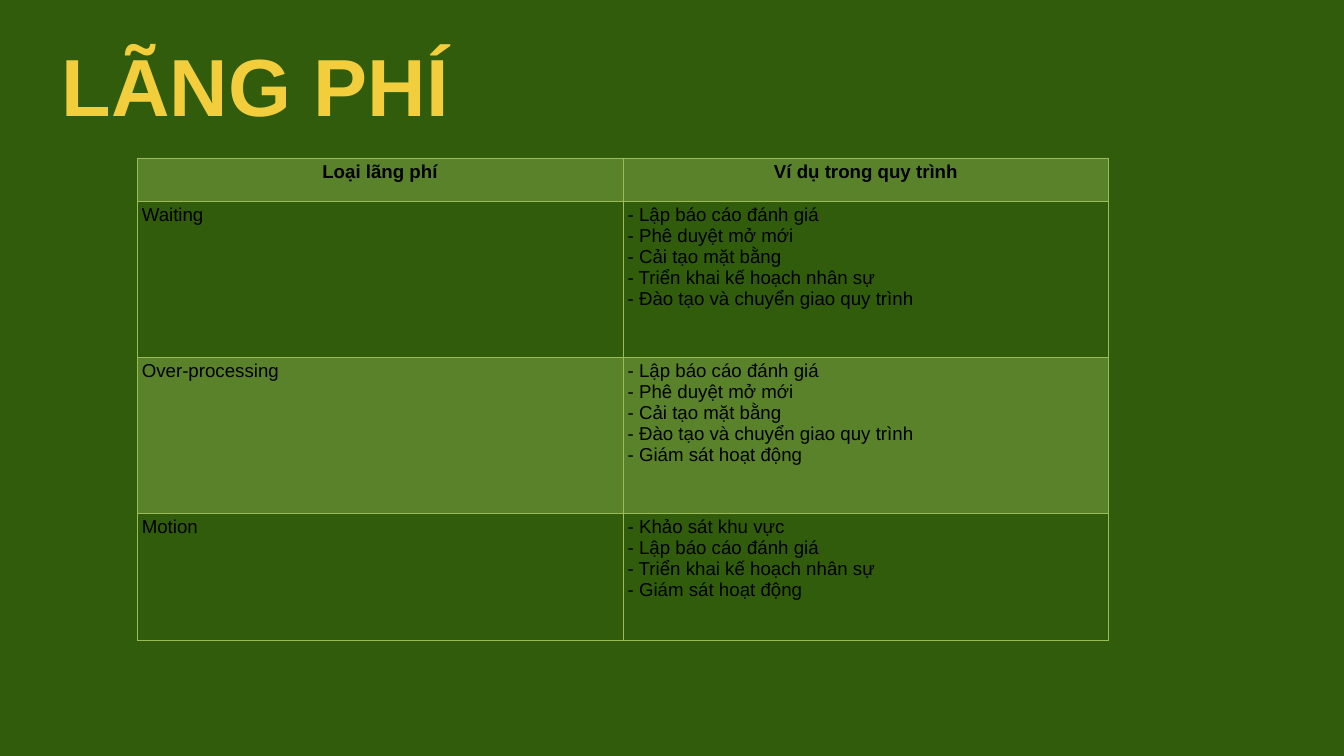
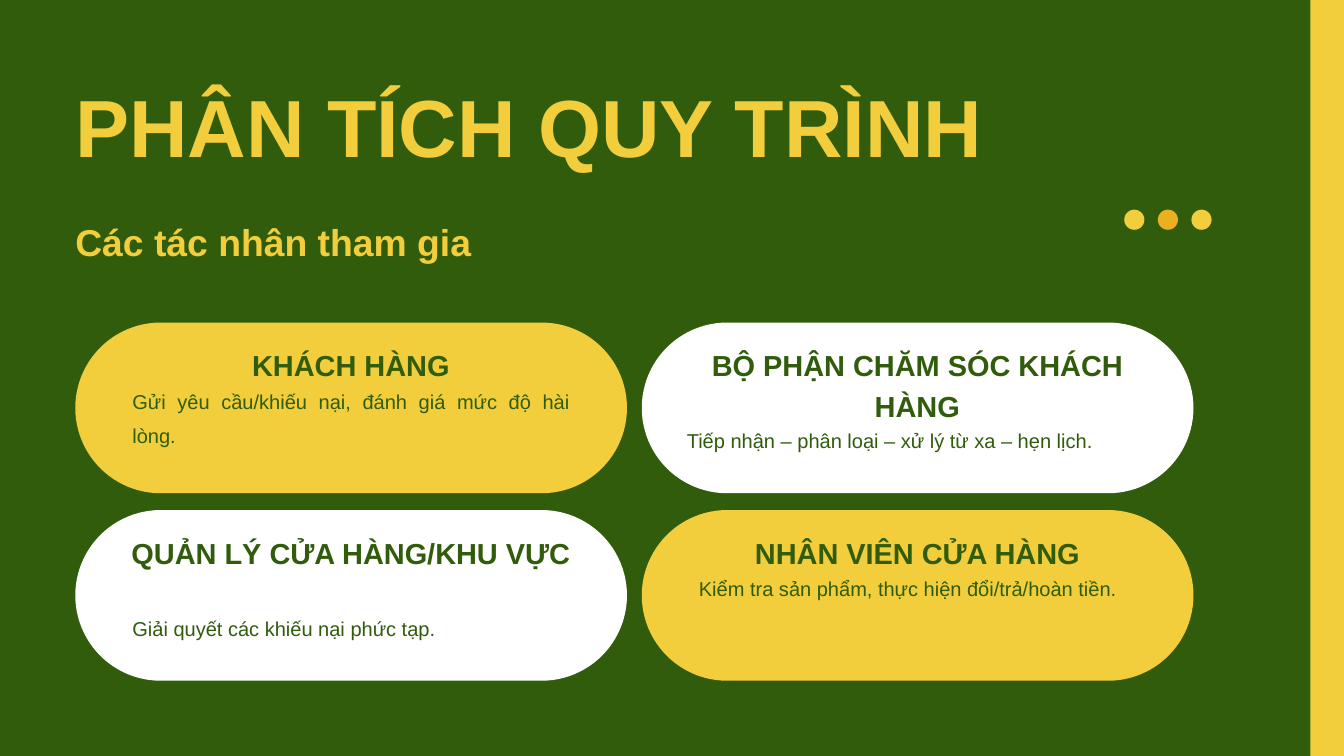
from dataclasses import dataclass

from lxml.etree import SubElement as Sub
from pptx import Presentation as Deck
from pptx.dml.color import RGBColor as Rgb
from pptx.enum.shapes import MSO_SHAPE as Kind
from pptx.enum.text import MSO_ANCHOR as Anchor, MSO_AUTO_SIZE as Fit, PP_ALIGN as Align
from pptx.oxml.ns import qn
from pptx.util import Inches, Pt


# Theme: colours, type sizes and font
@dataclass(frozen=True)
class Theme:
    font: str = "Arial"
    green: str = "305C0C"
    gold: str = "F2CE3C"
    amber: str = "EBB01F"
    lime: str = "9BBB59"
    white: str = "FFFFFF"
    black: str = "000000"
    title: float = 86.8
    sub: float = 40
    head: float = 31
    body: float = 21.5
    cell: float = 20


THEME = Theme()


@dataclass(frozen=True)
class Style:
    size: float
    color: str
    bold: bool = False
    align: Align = Align.LEFT
    space: float = 1.0


TITLE = Style(THEME.title, THEME.gold, True, space=1.04)
SUB = Style(THEME.sub, THEME.gold, True, Align.JUSTIFY, 1.4)
HEAD = Style(THEME.head, THEME.green, True, Align.CENTER, 1.18)
BODY = Style(THEME.body, THEME.green, False, Align.JUSTIFY, 1.4)
TOP = Style(THEME.cell, THEME.black, True, Align.CENTER)
CELL = Style(THEME.cell, THEME.black)


@dataclass(frozen=True)
class Box:
    left: float
    top: float
    width: float
    height: float

    def emu(self) -> tuple:
        return tuple(map(Inches, (self.left, self.top, self.width, self.height)))


@dataclass(frozen=True)
class Card:
    head: str
    body: str
    fill: str
    drop: float = 0.85
    shift: float = 0.85


@dataclass(frozen=True)
class Waste:
    name: str
    steps: tuple
    height: float


REPORT = "- Lập báo cáo đánh giá"
OPEN = "- Phê duyệt mở mới"
SITE = "- Cải tạo mặt bằng"
STAFF = "- Triển khai kế hoạch nhân sự"
TRAIN = "- Đào tạo và chuyển giao quy trình"
WATCH = "- Giám sát hoạt động"

WASTES = (
    Waste("Waiting", (REPORT, OPEN, SITE, STAFF, TRAIN), 2.32),
    Waste("Over-processing", (REPORT, OPEN, SITE, TRAIN, WATCH), 2.32),
    Waste("Motion", ("- Khảo sát khu vực", REPORT, STAFF, WATCH), 1.89),
)

# Cards run left to right, then down
CARDS = (
    Card("KHÁCH HÀNG", "Gửi yêu cầu/khiếu nại, đánh giá mức độ hài lòng.", THEME.gold),
    Card("BỘ PHẬN CHĂM SÓC KHÁCH HÀNG",
         "Tiếp nhận – phân loại – xử lý từ xa – hẹn lịch.", THEME.white, 1.43, 0.67),
    Card("QUẢN LÝ CỬA HÀNG/KHU VỰC", "Giải quyết các khiếu nại phức tạp.",
         THEME.white, 1.44),
    Card("NHÂN VIÊN CỬA HÀNG", "Kiểm tra sản phẩm, thực hiện đổi/trả/hoàn tiền.",
         THEME.gold),
)


def put(item, values: dict) -> None:
    for name, value in values.items():
        setattr(item, name, value)


def write(frame, lines: tuple, style: Style) -> None:
    frame.text = "\n".join(lines)
    for para in frame.paragraphs:
        put(para, {"alignment": style.align, "line_spacing": style.space})
        for run in para.runs:
            put(run.font, {"name": THEME.font, "size": Pt(style.size), "bold": style.bold})
            run.font.color.rgb = Rgb.from_string(style.color)


def fill_box(frame, text: str, style: Style) -> None:
    put(frame, {"margin_left": 0, "margin_right": 0, "margin_top": 0, "margin_bottom": 0,
                "word_wrap": True, "auto_size": Fit.NONE, "vertical_anchor": Anchor.TOP})
    write(frame, (text,), style)


def add_text(slide, box: Box, text: str, style: Style) -> None:
    fill_box(slide.shapes.add_textbox(*box.emu()).text_frame, text, style)


def add_title(slide, box: Box, text: str) -> None:
    title = slide.shapes.title
    put(title, dict(zip(("left", "top", "width", "height"), box.emu())))
    fill_box(title.text_frame, text, TITLE)


def add_form(slide, kind: Kind, box: Box, color: str):
    form = slide.shapes.add_shape(kind, *box.emu())
    form.shadow.inherit = False
    form.fill.solid()
    form.fill.fore_color.rgb = Rgb.from_string(color)
    form.line.fill.background()
    return form


def add_cell(cell, lines: tuple, style: Style, tint: bool) -> None:
    put(cell, {"margin_left": Inches(0.07), "margin_right": Inches(0.07),
               "margin_top": Inches(0.05), "margin_bottom": Inches(0.05)})
    write(cell.text_frame, lines, style)
    # Borders come before the fill in the cell's XML
    props = cell._tc.get_or_add_tcPr()
    for side in ("a:lnL", "a:lnR", "a:lnT", "a:lnB"):
        line = Sub(props, qn(side), w=str(Pt(0.75)))
        Sub(Sub(line, qn("a:solidFill")), qn("a:srgbClr"), val=THEME.lime)
    if not tint:
        cell.fill.background()
        return
    cell.fill.solid()
    cell.fill.fore_color.rgb = Rgb.from_string(THEME.lime)
    color = props.find(qn("a:solidFill")).find(qn("a:srgbClr"))
    Sub(color, qn("a:alpha"), val="40000")


def draw_waste(slide) -> None:
    add_title(slide, Box(0.92, 0.47, 17.76, 1.48), "LÃNG PHÍ")
    rows = [(("Loại lãng phí",), ("Ví dụ trong quy trình",))]
    rows += [((waste.name,), waste.steps) for waste in WASTES]
    tall = [0.65] + [waste.height for waste in WASTES]
    box = Box(2.04, 2.35, 14.46, sum(tall))
    table = slide.shapes.add_table(len(rows), 2, *box.emu()).table
    put(table, {"first_row": False, "horz_banding": False})
    for col in table.columns:
        col.width = Inches(box.width / 2)
    for row, texts in enumerate(rows):
        table.rows[row].height = Inches(tall[row])
        for col, lines in enumerate(texts):
            add_cell(table.cell(row, col), lines, CELL if row else TOP, row % 2 == 0)


def draw_roles(slide) -> None:
    # Side band, title and subtitle
    add_form(slide, Kind.RECTANGLE, Box(19.5, 0, 0.5, 11.25), THEME.gold)
    add_title(slide, Box(1.12, 1.08, 17.75, 1.48), "PHÂN TÍCH QUY TRÌNH")
    add_text(slide, Box(1.12, 3, 12.68, 0.83), "Các tác nhân tham gia", SUB)
    # Three dots
    for spot, color in enumerate((THEME.gold, THEME.amber, THEME.gold)):
        add_form(slide, Kind.OVAL, Box(16.73 + 0.5 * spot, 3.12, 0.3, 0.3), color)
    # Two by two grid of cards
    for spot, card in enumerate(CARDS):
        row, col = divmod(spot, 2)
        left, top = 1.12 + 8.43 * col, 4.8 + 2.79 * row
        pill = add_form(slide, Kind.ROUNDED_RECTANGLE, Box(left, top, 8.21, 2.54), card.fill)
        pill.adjustments[0] = 0.5
        add_text(slide, Box(left + 0.8, top + 0.28, 6.6, 0.57), card.head, HEAD)
        add_text(slide, Box(left + card.shift, top + card.drop, 6.51, 0.46), card.body, BODY)


def main() -> None:
    deck = Deck()
    put(deck, {"slide_width": Inches(20), "slide_height": Inches(11.25)})
    back = deck.slide_master.background.fill
    back.solid()
    back.fore_color.rgb = Rgb.from_string(THEME.green)
    for draw in (draw_waste, draw_roles):
        draw(deck.slides.add_slide(deck.slide_layouts[5]))
    deck.save("out.pptx")


if __name__ == "__main__":
    main()
